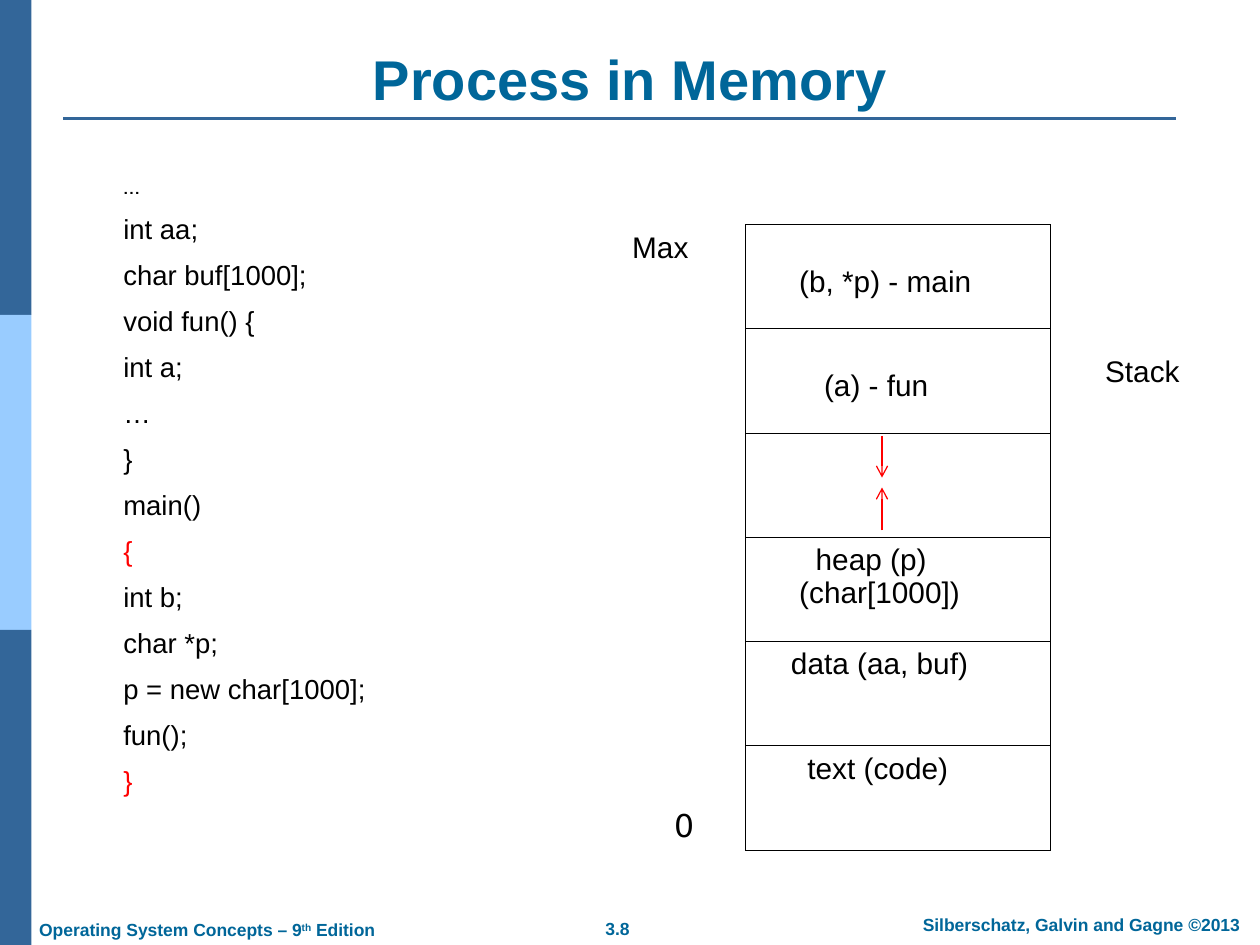
from lxml.etree import SubElement
from pptx import Presentation
from pptx.dml.color import RGBColor
from pptx.enum.shapes import MSO_CONNECTOR, MSO_SHAPE
from pptx.enum.text import MSO_ANCHOR, PP_ALIGN
from pptx.oxml.ns import qn
from pptx.util import Pt

COLORS = {"bar": "336699", "light": "99CCFF", "heading": "006699",
          "text": "000000", "accent": "FF0000"}

CODE = ["int aa;", "char buf[1000];", "void fun() {", "int a;", "…", "}", "main()",
        "{", "int b;", "char *p;", "p = new char[1000];", "fun();", "}"]
RED_LINES = (7, 12)

# Each memory region: top margin, then (text, indent) lines
REGIONS = [
    (23.3, [("(b, *p) - main", 23.3)]),
    (23.3, [("(a) - fun", 37.5)]),
    (3.6, []),
    (3.6, [("heap (p)", 32.7), ("(char[1000])", 23.3)]),
    (3.6, [("data (aa, buf)", 18.6)]),
    (3.6, [("text (code)", 28)]),
]


class SlideBuilder:
    def __init__(self, slide, font="Arial"):
        self.s = slide
        self.font = font

    def rgb(self, color):
        return RGBColor.from_string(COLORS[color])

    def style(self, p, size, color="text", bold=False, font=None):
        p.font.name = font or self.font
        p.font.size = Pt(size)
        p.font.bold = bold
        p.font.color.rgb = self.rgb(color)

    def rect(self, x, y, w, h, color):
        sp = self.s.shapes.add_shape(MSO_SHAPE.RECTANGLE, Pt(x), Pt(y), Pt(w), Pt(h))
        sp.shadow.inherit = False
        sp.fill.solid()
        sp.fill.fore_color.rgb = self.rgb(color)
        sp.line.fill.background()

    def line(self, x1, y1, x2, y2, color, width, arrow=False):
        cn = self.s.shapes.add_connector(
            MSO_CONNECTOR.STRAIGHT, Pt(x1), Pt(y1), Pt(x2), Pt(y2))
        cn.line.color.rgb = self.rgb(color)
        cn.line.width = Pt(width)
        sp_pr = cn._element.spPr
        if arrow:
            SubElement(sp_pr.find(qn("a:ln")), qn("a:tailEnd"), type="arrow")
        SubElement(sp_pr, qn("a:effectLst"))

    def text(self, x, y, w, h, runs, size, align=PP_ALIGN.LEFT, wrap=False,
             anchor=MSO_ANCHOR.TOP, **style):
        """Add a one-paragraph box and return its text frame."""
        tf = self.s.shapes.add_textbox(Pt(x), Pt(y), Pt(w), Pt(h)).text_frame
        tf.word_wrap = wrap
        tf.vertical_anchor = anchor
        p = tf.paragraphs[0]
        p.alignment = align
        for run in runs:
            p.add_run().text = run
        self.style(p, size, **style)
        return tf

    def code(self, x, y, w, h):
        tf = self.text(x, y, w, h, ["…"], 13.9, wrap=True, font="Cabin")
        tf.paragraphs[0].line_spacing = 0.8
        for i, code_line in enumerate(CODE):
            p = tf.add_paragraph()
            p.text = code_line
            p.space_before = Pt(7.4)
            self.style(p, 15.7, "accent" if i in RED_LINES else "text")

    def border(self, cell):
        tc_pr = cell._tc.get_or_add_tcPr()
        for i, side in enumerate(("a:lnL", "a:lnR", "a:lnT", "a:lnB")):
            ln = tc_pr.makeelement(qn(side), {"w": str(Pt(0.45))})
            fill = SubElement(ln, qn("a:solidFill"))
            SubElement(fill, qn("a:srgbClr"), val=COLORS["text"])
            tc_pr.insert(i, ln)

    def memory_table(self, x, y, w, row_h):
        n = len(REGIONS)
        table = self.s.shapes.add_table(n, 1, Pt(x), Pt(y), Pt(w), Pt(row_h * n)).table
        table.first_row = table.horz_banding = False
        for i, (top, lines) in enumerate(REGIONS):
            table.rows[i].height = Pt(row_h)
            cell = table.cell(i, 0)
            cell.fill.background()
            self.border(cell)
            cell.margin_top = Pt(top)
            tf = cell.text_frame
            for j, (label, indent) in enumerate(lines):
                p = tf.add_paragraph() if j else tf.paragraphs[0]
                p.text = label
                p._p.get_or_add_pPr().set("marL", str(Pt(indent)))
                self.style(p, 17)


def main():
    prs = Presentation()
    prs.slide_width, prs.slide_height = Pt(720), Pt(540)
    b = SlideBuilder(prs.slides.add_slide(prs.slide_layouts[6]))

    for i, color in enumerate(("bar", "light", "bar")):
        b.rect(0, 180 * i, 18, 180, color)
    b.line(36, 67.7, 672, 67.7, "bar", 1.5)

    heading = {"color": "heading", "bold": True}
    b.text(36, 21.9, 648, 45.4, ["Process in Memory"], 32, PP_ALIGN.CENTER, True,
           MSO_ANCHOR.BOTTOM, **heading)
    b.text(317.5, 520.9, 70.6, 19.1, ["3.8"], 10, PP_ALIGN.CENTER, **heading)
    b.text(511, 518.7, 213.8, 19.4, ["Silberschatz, Galvin and Gagne ©2013"], 10,
           PP_ALIGN.CENTER, True, **heading)
    edition = b.text(15.3, 521.5, 215, 18.5,
                     ["Operating System Concepts – 9", "th", " Edition"], 10, **heading)
    edition.paragraphs[0].runs[1].font._element.set("baseline", "30000")

    b.code(63.4, 97.2, 648, 357)
    b.memory_table(426.2, 128.2, 174.2, 59.6)
    b.line(504, 249.1, 504, 272.9, "accent", 0.75, arrow=True)
    b.line(504, 303.1, 504, 278.6, "accent", 0.75, arrow=True)

    b.text(354.2, 127, 52, 28.1, ["Max"], 17)
    b.text(624.4, 198, 62, 28.1, ["Stack"], 17)
    b.text(378.2, 457.2, 28, 28.8, ["0"], 18, font="DejaVu Sans")

    prs.save("out.pptx")


if __name__ == "__main__":
    main()
